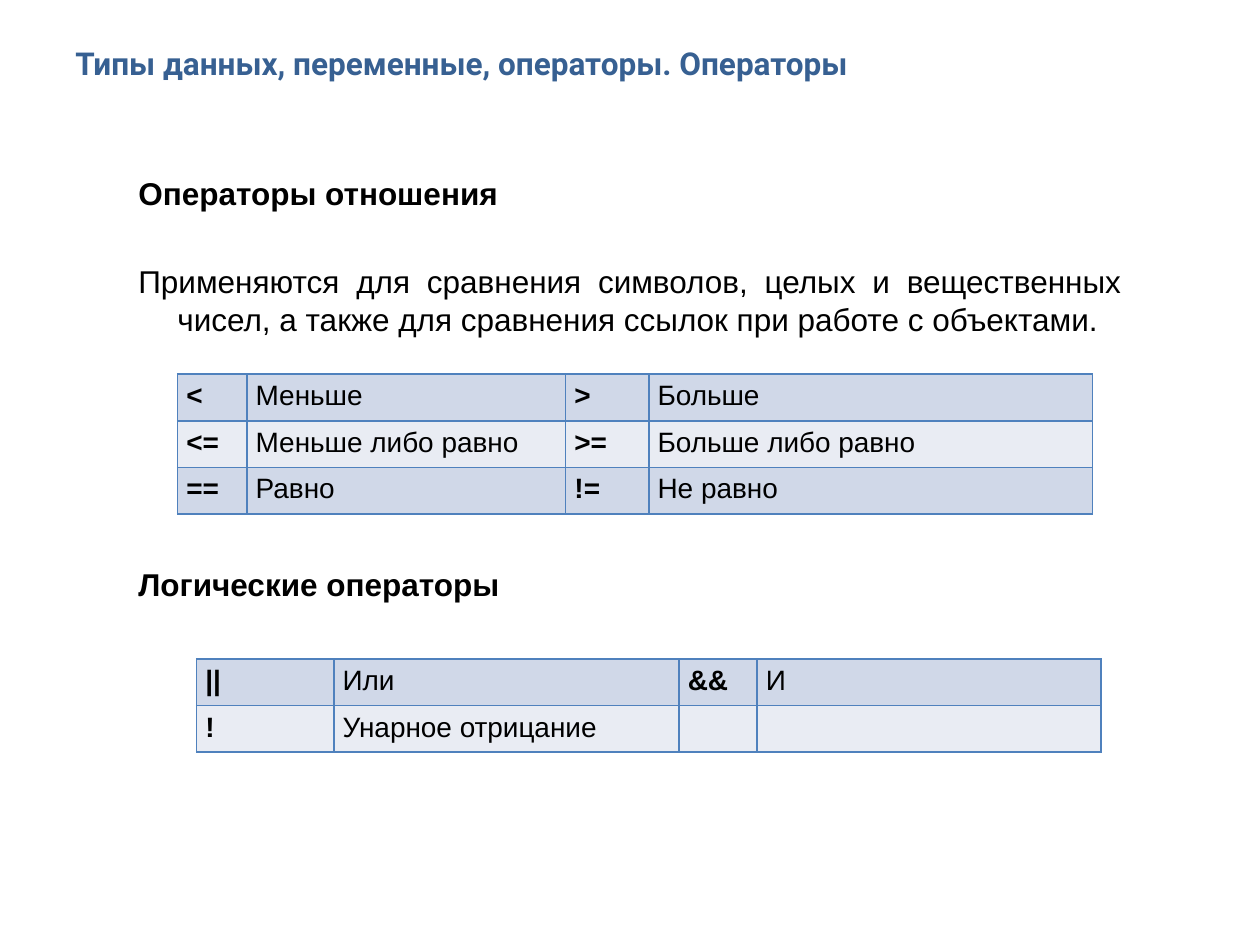
from lxml import etree
from pptx import Presentation
from pptx import util as u
from pptx.dml.color import RGBColor
from pptx.enum import text
from pptx.oxml import ns

COLUMNS, ROWS = 100, 75
SLIDE_WIDTH, SLIDE_HEIGHT = u.Inches(10), u.Inches(7.5)
COLORS = {"title": "376092", "text": "000000", "border": "4F81BD",
          "odd": "D0D8E8", "even": "E9ECF3"}
FORMATS = {
    "title": {"name": "Roboto", "size": u.Pt(18), "bold": True},
    "heading": {"name": "Arial", "size": u.Pt(18), "bold": True},
    "body": {"name": "Arial", "size": u.Pt(18), "bold": False},
    "operator": {"name": "Arial", "size": u.Pt(16), "bold": True},
    "meaning": {"name": "Arial", "size": u.Pt(16), "bold": False},
}
RELATIONS = [["<", "Меньше", ">", "Больше"],
             ["<=", "Меньше либо равно", ">=", "Больше либо равно"],
             ["==", "Равно", "!=", "Не равно"]]
LOGIC = [["||", "Или", "&&", "И"],
         ["!", "Унарное отрицание", "", ""]]


def across(columns):
    """Return the length of a number of grid columns."""
    return round(SLIDE_WIDTH * columns / COLUMNS)


def down(rows):
    """Return the length of a number of grid rows."""
    return round(SLIDE_HEIGHT * rows / ROWS)


def place(box):
    """Turn a box in columns and rows into slide lengths."""
    left, top, width, height = box
    return across(left), down(top), across(width), down(height)


def apply_format(font, kind, color="text"):
    """Set a font from the named format and colour."""
    for name, value in FORMATS[kind].items():
        setattr(font, name, value)
    font.color.rgb = RGBColor.from_string(COLORS[color])


def add_text_frame(slide, box):
    """Add a wrapping text box and return its frame."""
    frame = slide.shapes.add_textbox(*place(box)).text_frame
    frame.word_wrap = True
    return frame


def add_title(slide, box, wording):
    """Write the slide title in the box."""
    paragraph = add_text_frame(slide, box).paragraphs[0]
    run = paragraph.add_run()
    run.text = wording
    apply_format(run.font, "title", "title")


def add_body(slide, box, entries):
    """Write headings and text with hanging indents in the box."""
    frame = add_text_frame(slide, box)
    for index, (kind, space, wording) in enumerate(entries):
        paragraph = frame.add_paragraph() if index else frame.paragraphs[0]
        paragraph.space_before = u.Pt(space)
        if kind == "body":
            paragraph.alignment = text.PP_ALIGN.JUSTIFY
        properties = paragraph._p.get_or_add_pPr()
        properties.set("marL", str(across(3.1)))
        properties.set("indent", str(-across(3.1)))
        run = paragraph.add_run()
        run.text = wording
        apply_format(run.font, kind)


def add_borders(cell):
    """Draw all four borders of a table cell."""
    properties = cell._tc.get_or_add_tcPr()
    for index, side in enumerate(("lnL", "lnR", "lnT", "lnB")):
        line = etree.Element(ns.qn(f"a:{side}"), w=str(u.Pt(0.96)))
        fill = etree.SubElement(line, ns.qn("a:solidFill"))
        etree.SubElement(fill, ns.qn("a:srgbClr"), val=COLORS["border"])
        properties.insert(index, line)


def add_operators(slide, box, widths, rows):
    """Build a banded table of operators and their meanings."""
    table = slide.shapes.add_table(len(rows), len(widths), *place(box)).table
    table.first_row = False
    for column, width in zip(table.columns, widths):
        column.width = across(width)
    for row_index, row in enumerate(rows):
        for column_index, wording in enumerate(row):
            cell = table.cell(row_index, column_index)
            cell.margin_left = cell.margin_right = across(0.7)
            cell.fill.solid()
            band = "even" if row_index % 2 else "odd"
            cell.fill.fore_color.rgb = RGBColor.from_string(COLORS[band])
            add_borders(cell)
            paragraph = cell.text_frame.paragraphs[0]
            paragraph.text = wording
            kind = "meaning" if column_index % 2 else "operator"
            for item in paragraph.runs or [paragraph]:
                apply_format(item.font, kind)


def main():
    """Build the slide and save it."""
    presentation = Presentation()
    presentation.slide_width = SLIDE_WIDTH
    presentation.slide_height = SLIDE_HEIGHT
    slide = presentation.slides.add_slide(presentation.slide_layouts[6])
    add_title(slide, (5, 3, 90, 7.8),
              "Типы данных, переменные, операторы. Операторы")
    add_body(slide, (10, 13.3, 80, 52.5), [
        ("heading", 3.6, "Операторы отношения"),
        ("body", 29, "Применяются для сравнения символов, целых и вещественных "
                     "чисел, а также для сравнения ссылок при работе с объектами."),
        ("heading", 130, "Логические операторы"),
    ])
    add_operators(slide, (14.1, 29.7, 72.6, 11.1), (5.5, 25.3, 6.6, 35.2), RELATIONS)
    add_operators(slide, (15.6, 52.3, 71.8, 7.4), (10.9, 27.4, 6.2, 27.3), LOGIC)
    presentation.save("out.pptx")


if __name__ == "__main__":
    main()
